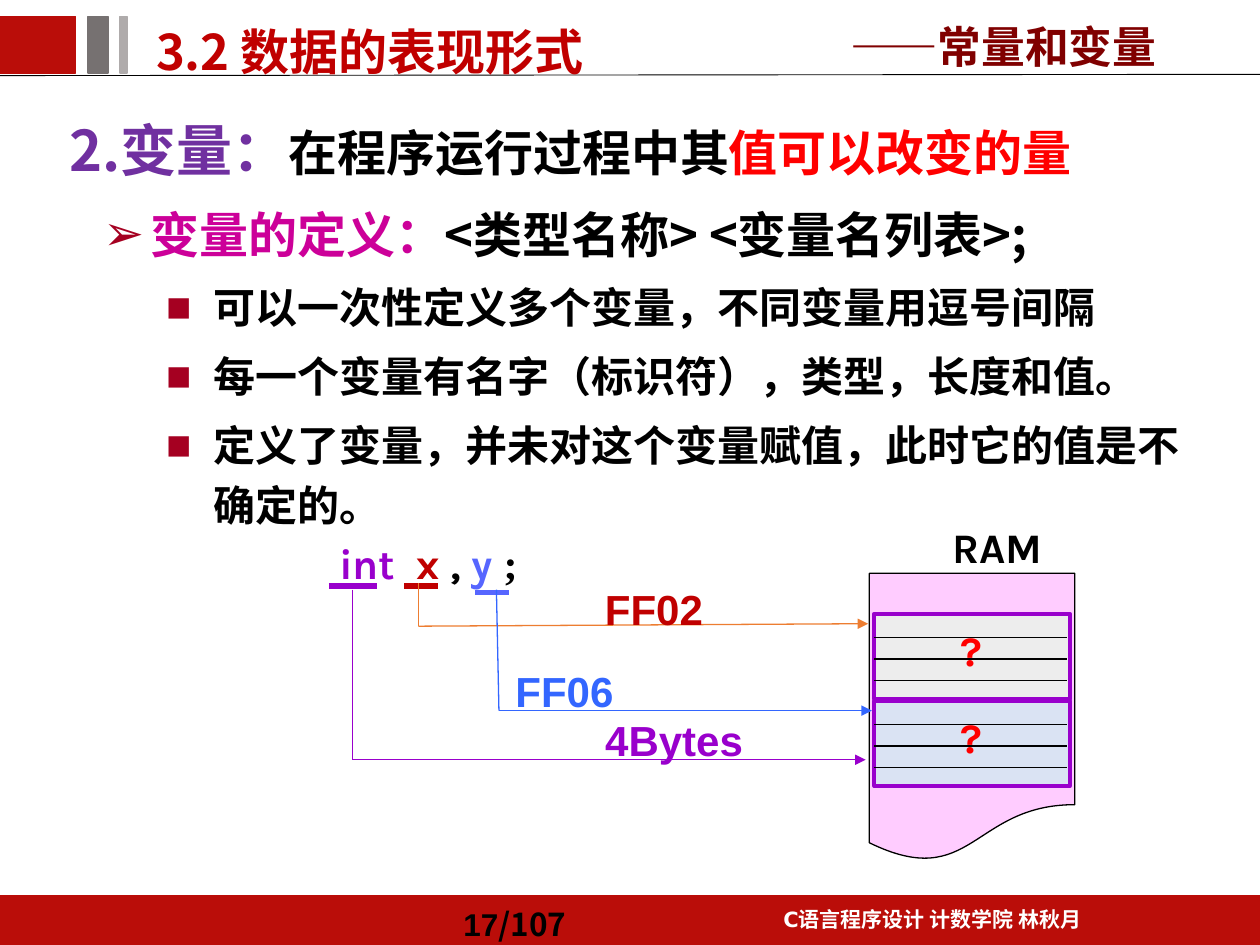
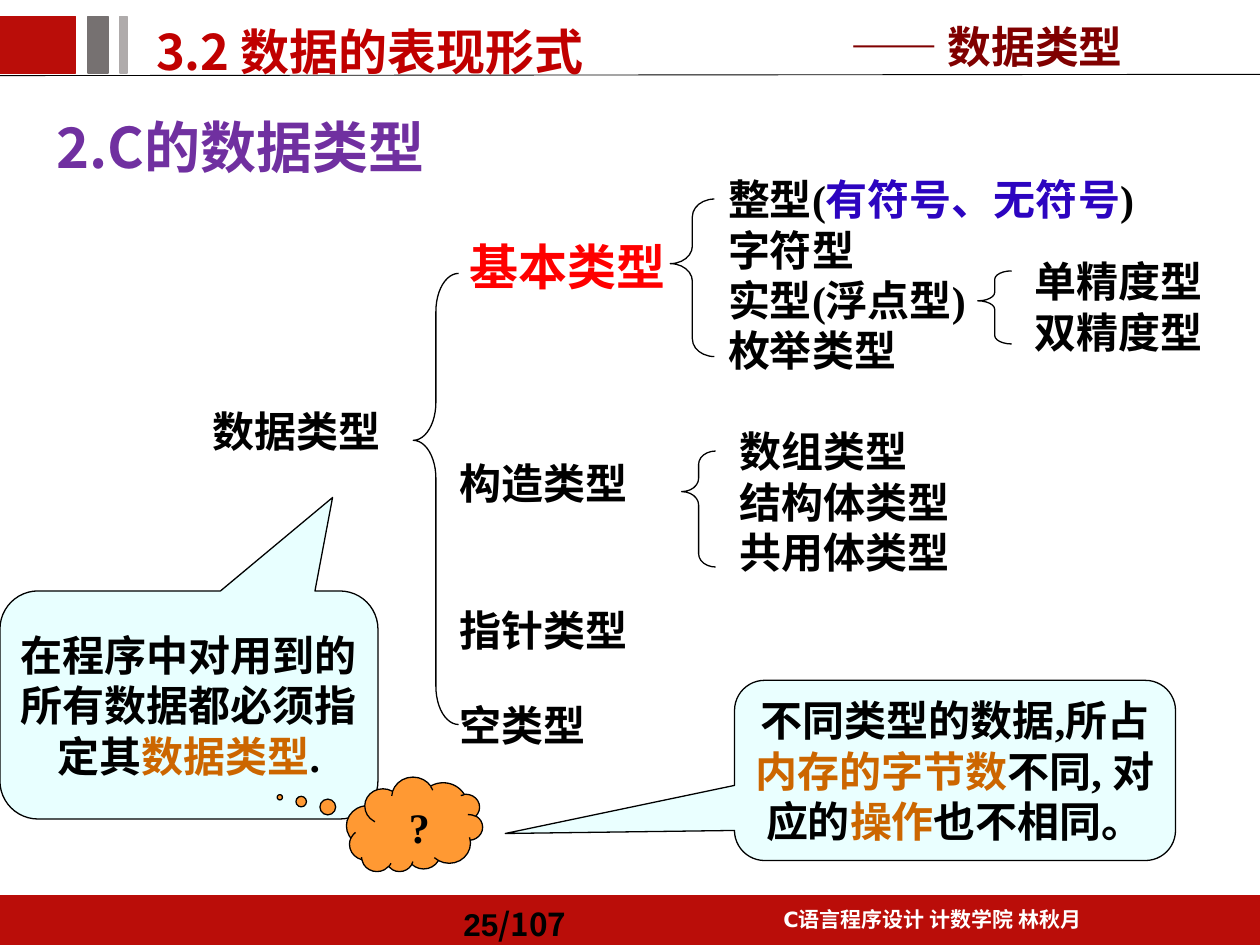
from lxml import etree
from pptx import Presentation
from pptx.dml.color import RGBColor
from pptx.enum.shapes import MSO_CONNECTOR, MSO_SHAPE
from pptx.enum.text import MSO_ANCHOR, MSO_AUTO_SIZE, PP_ALIGN
from pptx.oxml.ns import qn
from pptx.util import Inches, Pt

RECTANGLE = MSO_SHAPE.RECTANGLE
DOCUMENT = MSO_SHAPE.FLOWCHART_DOCUMENT
LEFT_BRACE = MSO_SHAPE.LEFT_BRACE
ROUND_CALLOUT = MSO_SHAPE.ROUNDED_RECTANGULAR_CALLOUT
CLOUD_CALLOUT = MSO_SHAPE.CLOUD_CALLOUT
STRAIGHT = MSO_CONNECTOR.STRAIGHT
TOP, MIDDLE, BOTTOM = MSO_ANCHOR.TOP, MSO_ANCHOR.MIDDLE, MSO_ANCHOR.BOTTOM
LEFT, CENTER = PP_ALIGN.LEFT, PP_ALIGN.CENTER
NO_FIT = MSO_AUTO_SIZE.NONE

COLORS = {
    "band": "BA0D09", "dark grey": "767171", "light grey": "AFABAB",
    "white": "FFFFFF", "black": "000000", "section": "C00000",
    "title": "800000", "heading": "7030A0", "red": "FF0000",
    "magenta": "CC0099", "bullet": "A50021", "purple": "9900CC",
    "variable y": "5666FF", "blue": "3366FF", "orange": "ED7D31",
    "memory": "FFCCFF", "cell x": "EDEDED", "cell y": "DAE3F3",
    "indigo": "2C04C0", "callout": "CCFFFF", "emphasis": "CC6600",
    "cloud": "FF9933",
}
CJK, SANS, SERIF, CODE = "Noto Sans CJK SC", "Arial", "Times New Roman", "Karla"


def rgb(name):
    return RGBColor.from_string(COLORS[name])


def write_spans(para, spans, size, font):
    """Add spans of (text, colour[, size[, font]]) to a paragraph."""
    for text, color, *override in spans:
        span = para.add_run()
        span.text = text
        span_size, span_font = (*override, *(size, font)[len(override):])
        span.font.size = Pt(span_size)
        span.font.bold = True
        span.font.color.rgb = rgb(color)
        span.font.name = span_font
        east_asian = etree.SubElement(span.font._element, qn("a:ea"))
        east_asian.set("typeface", CJK)


def write_lines(frame, lines, size, font, align=LEFT, anchor=TOP, wrap=True, spacing=1.0):
    """Fill a text frame; each line is a list of spans and makes a paragraph."""
    frame.word_wrap = wrap
    frame.auto_size = NO_FIT
    frame.vertical_anchor = anchor
    for index, spans in enumerate(lines):
        para = frame.add_paragraph() if index else frame.paragraphs[0]
        para.alignment = align
        para.line_spacing = spacing
        write_spans(para, spans, size, font)


def add_text(slide, at, lines, size=24, font=SERIF, **layout):
    box = slide.shapes.add_textbox(*map(Inches, at))
    write_lines(box.text_frame, lines, size, font, **layout)
    return box


def add_figure(slide, kind, at, fill=None, line="black", width=0.75, adjust=()):
    shape = slide.shapes.add_shape(kind, *map(Inches, at))
    shape.shadow.inherit = False
    if fill:
        shape.fill.solid()
        shape.fill.fore_color.rgb = rgb(fill)
    else:
        shape.fill.background()
    shape.line.color.rgb = rgb(line)
    shape.line.width = Pt(width)
    for index, value in enumerate(adjust):
        shape.adjustments[index] = value
    return shape


def add_line(slide, start, end, color="black", width=0.75, arrow=False):
    line = slide.shapes.add_connector(STRAIGHT, *map(Inches, (*start, *end)))
    line.line.color.rgb = rgb(color)
    line.line.width = Pt(width)
    if arrow:
        etree.SubElement(line.line._get_or_add_ln(), qn("a:tailEnd")).set("type", "triangle")
    etree.SubElement(line._element.spPr, qn("a:effectLst"))


def add_callout(slide, at, pointer, opacity, lines):
    callout = add_figure(slide, ROUND_CALLOUT, at, "callout", adjust=(*pointer, 0.167))
    fill_color = callout._element.spPr.find(qn("a:solidFill"))[0]
    etree.SubElement(fill_color, qn("a:alpha")).set("val", str(opacity * 1000))
    write_lines(callout.text_frame, lines, 24, SERIF, CENTER, MIDDLE, wrap=False)


def add_bullet(para, mark, margin):
    properties = para._p.get_or_add_pPr()
    properties.set("marL", str(Inches(margin)))
    properties.set("indent", str(Inches(-0.38)))
    color = etree.SubElement(properties, qn("a:buClr"))
    etree.SubElement(color, qn("a:srgbClr")).set("val", COLORS["bullet"])
    etree.SubElement(properties, qn("a:buFont")).set("typeface", SANS)
    etree.SubElement(properties, qn("a:buChar")).set("char", mark)


def start_slide(deck, title, page_number):
    """Add a slide with the bands, section name, topic title and footer."""
    slide = deck.slides.add_slide(deck.slide_layouts[5])
    add_figure(slide, RECTANGLE, (0, 7.11, 10, 0.39), "band", "band")
    add_text(slide, (5.63, 7.11, 3.54, 0.34),
             [[("C语言程序设计 计数学院 林秋月", "white")]],
             12, "DejaVu Sans", align=CENTER, spacing=1.2)
    add_line(slide, (0, 0.6), (10, 0.59), width=0.5)
    for left, width, color in ((0, 0.6, "band"), (0.7, 0.16, "dark grey"),
                               (0.95, 0.06, "light grey")):
        add_figure(slide, RECTANGLE, (left, 0.13, width, 0.45), color, color, 1)
    add_text(slide, (3.58, 7.11, 1.42, 0.39),
             [[(str(page_number), "black"), ("/107", "black", 18, CJK)]],
             18, SANS, anchor=MIDDLE, spacing=1.2)
    add_text(slide, (1.14, 0.03, 5.55, 0.66),
             [[("3.2 数据的表现形式", "section")]], 28, CJK, spacing=1.2)
    heading = slide.shapes.title
    heading.left, heading.top, heading.width, heading.height = map(
        Inches, (6.65, 0.1, 3.35, 0.52))
    write_lines(heading.text_frame, [[(title, "title")]], 25, SANS, anchor=BOTTOM)
    return slide


def add_definition(slide):
    add_text(slide, (0.45, 0.6, 9.55, 0.9),
             [[("2.变量：", "heading", 32, CJK), ("在程序运行过程中其", "black"),
               ("值可以改变的量", "red", 28, CJK)]], 28, SANS, anchor=BOTTOM)
    points = ("可以一次性定义多个变量，不同变量用逗号间隔",
              "每一个变量有名字（标识符），类型，长度和值。",
              "定义了变量，并未对这个变量赋值，此时它的值是不确定的。")
    lines = [[("变量的定义：", "magenta", 28, CJK),
              ("<类型名称> <变量名列表>;", "black", 28, CJK)]]
    lines += [[(point, "black")] for point in points]
    box = add_text(slide, (0.72, 1.48, 8.86, 5.04), lines, 24, SANS, spacing=1.2)
    first, *others = box.text_frame.paragraphs
    for para in others:
        para.space_before = Pt(4.8)
        add_bullet(para, "■", 0.88)
    add_bullet(first, "➢", 0.38)


def add_memory(slide):
    add_figure(slide, DOCUMENT, (6.9, 4.55, 1.63, 2.29), "memory")
    add_text(slide, (7.3, 4.09, 1.23, 0.5), [[("RAM", "black")]], font=CODE, align=CENTER)
    for top, fill in ((4.87, "cell x"), (5.56, "cell y")):
        add_figure(slide, RECTANGLE, (6.94, top, 1.55, 0.68), fill, "purple", 2.25)
        for offset in (0.19, 0.36, 0.53):
            add_line(slide, (6.94, top + offset), (8.47, top + offset))
        add_text(slide, (7.39, top + 0.04, 0.64, 0.5), [[("?", "red")]],
                 font=CODE, align=CENTER)


def add_declaration(slide):
    """Show the code and lead each of its parts to the memory."""
    add_text(slide, (2.3, 4.23, 2.2, 0.47),
             [[("int  ", "purple"), ("x ", "section"), (", ", "black"),
               ("y ", "variable y"), (";", "black", 24, SERIF)]],
             font=CODE, align=CENTER, anchor=MIDDLE, wrap=False)
    for left, right, height, color in ((2.61, 2.99, 4.65, "purple"),
                                       (3.21, 3.48, 4.65, "section"),
                                       (3.77, 4.04, 4.7, "variable y")):
        add_line(slide, (left, height), (right, height), color, 3)
    for start, corner, end, color in (
            ((3.32, 4.63), (3.32, 4.97), (6.89, 4.95), "orange"),
            ((3.94, 4.68), (3.96, 5.64), (6.92, 5.64), "blue"),
            ((2.8, 4.68), (2.8, 6.03), (6.87, 6.03), "purple")):
        add_line(slide, start, corner, color)
        add_line(slide, corner, end, color, arrow=True)
    for label, left, top, width, color in (("FF02", 4.62, 4.58, 1.14, "section"),
                                           ("FF06", 3.91, 5.23, 1.14, "blue"),
                                           ("4Bytes", 4.46, 5.62, 1.78, "purple")):
        add_text(slide, (left, top, width, 0.5), [[(label, color)]],
                 font=SANS, align=CENTER)


def add_type_tree(slide):
    add_text(slide, (1.33, 3.17, 2.04, 0.5), [[("数据类型", "black")]], align=CENTER)
    add_text(slide, (3.6, 1.83, 1.81, 0.57), [[("基本类型", "red")]], 28, CJK, align=CENTER)
    for name, top in (("构造类型", 3.58), ("指针类型", 4.75), ("空类型", 5.5)):
        add_text(slide, (3.55, top, 1.69, 0.5), [[(name, "black")]])
    add_text(slide, (5.68, 1.33, 3.74, 1.72),
             [[("整型(", "black"), ("有符号、无符号", "indigo"), (")", "black")],
              [("字符型", "black")], [("实型(浮点型)", "black")], [("枚举类型", "black")]])
    for at, names in (((5.77, 3.33, 2.57, 1.31), ("数组类型", "结构体类型", "共用体类型")),
                      ((8.11, 1.98, 1.77, 0.91), ("单精度型", "双精度型"))):
        add_text(slide, at, [[(name, "black")] for name in names])
    for at, adjust in (((3.28, 2.17, 0.36, 3.58), (0.84, 0.37)),
                       ((5.32, 1.58, 0.35, 1.25), (0.4, 0.41)),
                       ((5.41, 3.58, 0.27, 0.92), (0.39, 0.35)),
                       ((7.76, 2.15, 0.27, 0.58), (0.25, 0.41))):
        add_figure(slide, LEFT_BRACE, at, adjust=adjust)


def add_thought_cloud(slide):
    cloud = add_figure(slide, CLOUD_CALLOUT, (2.75, 6.17, 1.08, 0.75), "cloud",
                       adjust=(0.99, 0.29))
    transform = cloud._element.spPr.find(qn("a:xfrm"))
    transform.set("flipH", "1")
    transform.set("flipV", "1")
    write_lines(cloud.text_frame, [[("?", "black")]], 24, SERIF, CENTER, MIDDLE, wrap=False)
    cloud.text_frame._txBody.find(qn("a:bodyPr")).set("rot", str(180 * 60000))


def add_remarks(slide):
    add_callout(slide, (0, 4.69, 3, 1.81), (0.38, -0.91), 44,
                [[("在程序中对用到的", "black")], [("所有数据都必须指", "black")],
                 [("定其", "black"), ("数据类型", "emphasis"), (".", "black")]])
    add_thought_cloud(slide)
    add_callout(slide, (5.83, 5.4, 3.5, 1.43), (-1.02, 0.35), 40,
                [[("不同类型的数据,所占", "black")],
                 [("内存的字节数", "emphasis"), ("不同, 对", "black")],
                 [("应的", "black"), ("操作", "emphasis"), ("也不相同。", "black")]])


def main():
    deck = Presentation()
    deck.slide_width, deck.slide_height = Inches(10), Inches(7.5)

    variables = start_slide(deck, "——常量和变量", 17)
    add_definition(variables)
    add_memory(variables)
    add_declaration(variables)

    types = start_slide(deck, "—— 数据类型", 25)
    add_text(types, (0.35, 0.58, 5, 0.91), [[("2.C的数据类型", "heading")]],
             32, CJK, spacing=1.5)
    add_type_tree(types)
    add_remarks(types)

    deck.save("out.pptx")


if __name__ == "__main__":
    main()
